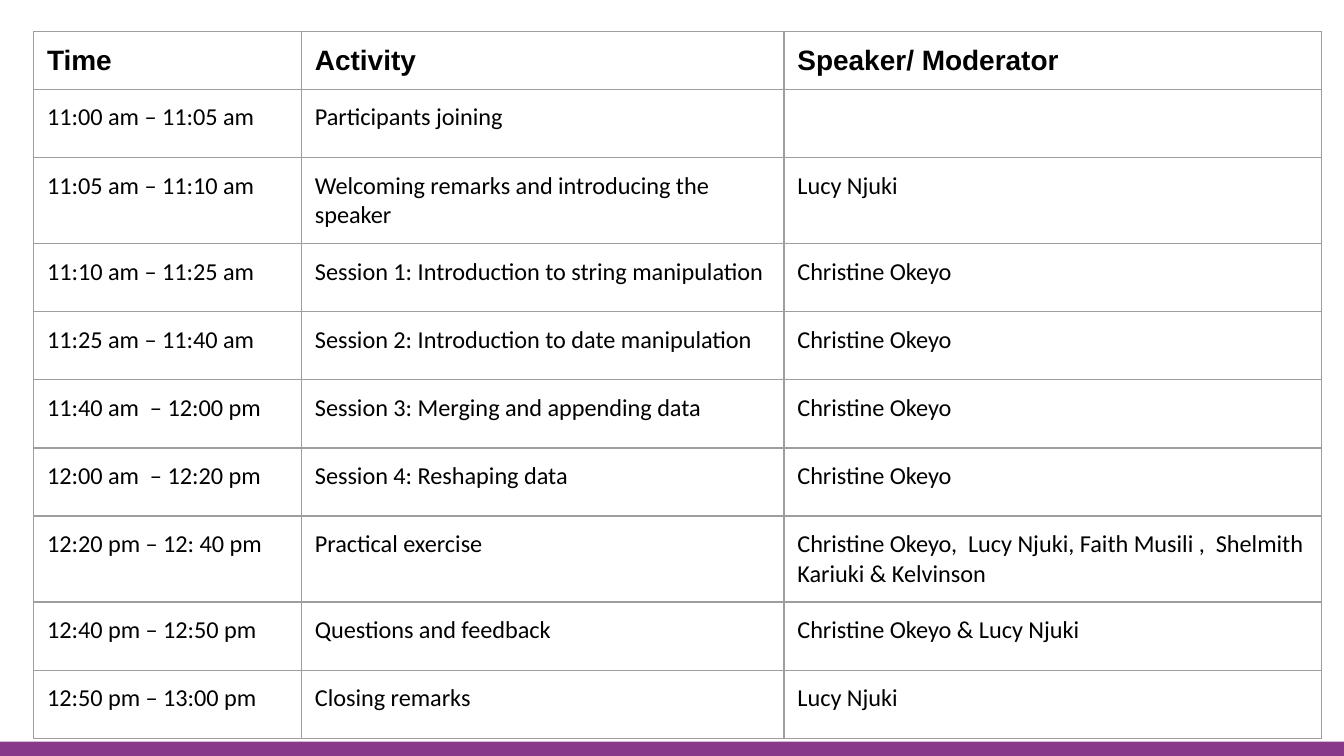
from dataclasses import dataclass

from lxml.etree import SubElement
from pptx import Presentation
from pptx.dml.color import RGBColor
from pptx.enum.shapes import MSO_SHAPE as Shape
from pptx.oxml.ns import qn
from pptx.util import Pt


@dataclass(frozen=True)
class Theme:
    ink: RGBColor = RGBColor(0, 0, 0)
    band: RGBColor = RGBColor(0x88, 0x39, 0x8A)
    grid: str = "9E9E9E"
    grid_width: float = 0.75
    heading_font: str = "Arial"
    heading_size: float = 15
    body_font: str = "Calibri"
    body_size: float = 13


THEME = Theme()
HEADING = dict(name=THEME.heading_font, size=Pt(THEME.heading_size), bold=True)
BODY = dict(name=THEME.body_font, size=Pt(THEME.body_size), bold=False)
PAGE_WIDTH, PAGE_HEIGHT = 720, 405
BAND_HEIGHT = 7.6
COLUMN_WIDTHS = (143.5, 258.5, 288)
HEADING_HEIGHT, ROW_HEIGHT = 31, 36.5
CELL_MARGIN = 7.2

AGENDA = [
    ("Time", "Activity", "Speaker/ Moderator"),
    ("11:00 am – 11:05 am", "Participants joining", ""),
    ("11:05 am – 11:10 am", "Welcoming remarks and introducing the speaker", "Lucy Njuki"),
    ("11:10 am – 11:25 am", "Session 1: Introduction to string manipulation", "Christine Okeyo"),
    ("11:25 am – 11:40 am", "Session 2: Introduction to date manipulation", "Christine Okeyo"),
    ("11:40 am  – 12:00 pm", "Session 3: Merging and appending data", "Christine Okeyo"),
    ("12:00 am  – 12:20 pm", "Session 4: Reshaping data", "Christine Okeyo"),
    ("12:20 pm – 12: 40 pm", "Practical exercise",
     "Christine Okeyo,  Lucy Njuki, Faith Musili ,  Shelmith Kariuki & Kelvinson"),
    ("12:40 pm – 12:50 pm", "Questions and feedback", "Christine Okeyo & Lucy Njuki"),
    ("12:50 pm – 13:00 pm", "Closing remarks", "Lucy Njuki"),
]


def add_footer_band(page, left, top, width, height):
    band = page.shapes.add_shape(Shape.RECTANGLE, Pt(left), Pt(top), Pt(width), Pt(height))
    band.shadow.inherit = False
    band.fill.solid()
    band.fill.fore_color.rgb = THEME.band
    band.line.fill.background()


def draw_borders(cell):
    properties = cell._tc.get_or_add_tcPr()
    for side in ("lnL", "lnR", "lnT", "lnB"):
        line = SubElement(properties, qn(f"a:{side}"), w=str(Pt(THEME.grid_width)))
        fill = SubElement(line, qn("a:solidFill"))
        SubElement(fill, qn("a:srgbClr"), val=THEME.grid)


def fill_cell(cell, text, font_format):
    for side in ("left", "right", "top", "bottom"):
        setattr(cell, f"margin_{side}", Pt(CELL_MARGIN))
    draw_borders(cell)
    cell.fill.background()
    cell.text = text
    para = cell.text_frame.paragraphs[0]
    # An empty cell has no span, so its paragraph carries the format.
    font = para.runs[0].font if para.runs else para.font
    for name, value in font_format.items():
        setattr(font, name, value)
    font.color.rgb = THEME.ink


def add_agenda(page, left, top):
    heights = [HEADING_HEIGHT] + [ROW_HEIGHT] * (len(AGENDA) - 1)
    table = page.shapes.add_table(
        len(AGENDA), len(COLUMN_WIDTHS), Pt(left), Pt(top),
        Pt(sum(COLUMN_WIDTHS)), Pt(sum(heights))).table
    table.first_row = table.horz_banding = False
    for column, width in zip(table.columns, COLUMN_WIDTHS):
        column.width = Pt(width)
    for index, (row, height, texts) in enumerate(zip(table.rows, heights, AGENDA)):
        row.height = Pt(height)
        for cell, text in zip(row.cells, texts):
            fill_cell(cell, text, BODY if index else HEADING)


def main():
    deck = Presentation()
    deck.slide_width, deck.slide_height = Pt(PAGE_WIDTH), Pt(PAGE_HEIGHT)
    blank_layout = deck.slide_layouts[6]
    page = deck.slides.add_slide(blank_layout)
    add_footer_band(page, 0, PAGE_HEIGHT - BAND_HEIGHT, PAGE_WIDTH, BAND_HEIGHT)
    add_agenda(page, 18, 16.8)
    deck.save("out.pptx")


if __name__ == "__main__":
    main()
